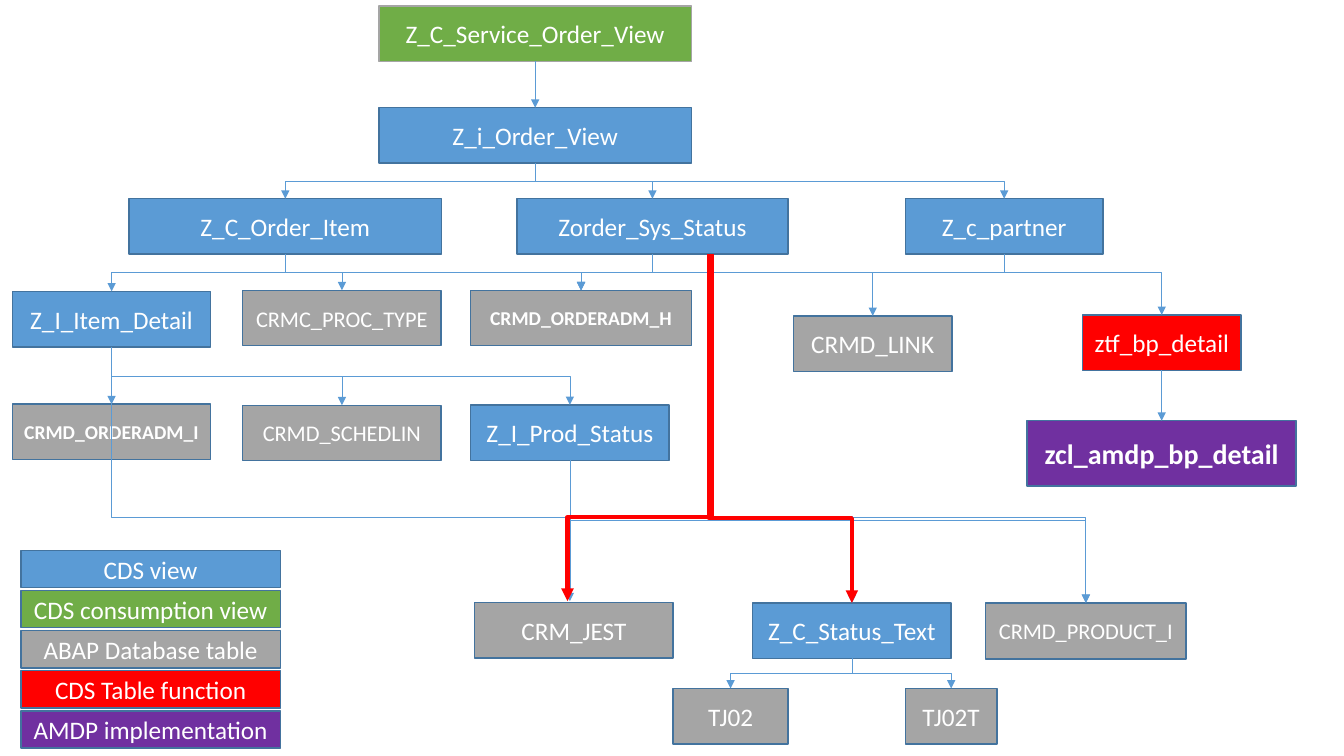
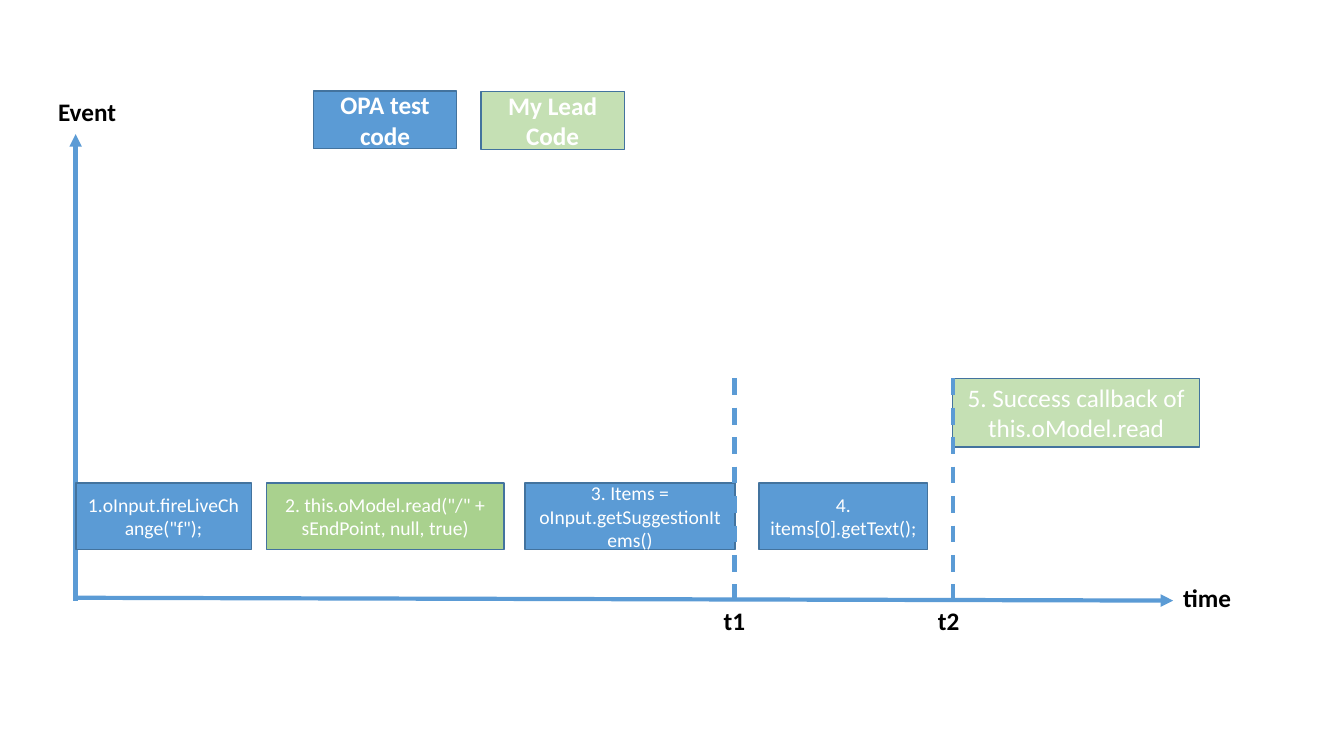
import pptx
import pptx.util
import pptx.dml.color
import pptx.enum.dml
import pptx.enum.shapes
import pptx.enum.text
import pptx.oxml.ns
import lxml.etree

Pt = pptx.util.Pt
RGB = pptx.dml.color.RGBColor
qn = pptx.oxml.ns.qn
KIND = pptx.enum.shapes.MSO_CONNECTOR
DASH = pptx.enum.dml.MSO_LINE.DASH
ALIGN = pptx.enum.text.PP_ALIGN
MIDDLE = pptx.enum.text.MSO_ANCHOR.MIDDLE
GROW = pptx.enum.text.MSO_AUTO_SIZE.SHAPE_TO_FIT_TEXT

FONT = "Calibri"
WHITE = RGB(0xFF, 0xFF, 0xFF)
BLACK = RGB(0x00, 0x00, 0x00)
BLUE = RGB(0x5B, 0x9B, 0xD5)
EDGE = RGB(0x43, 0x73, 0x9E)
GREEN = RGB(0x70, 0xAD, 0x47)
LEAF = RGB(0xA9, 0xD1, 0x8E)
PALE = RGB(0xC5, 0xE0, 0xB4)
GREY = RGB(0xA5, 0xA5, 0xA5)
RED = RGB(0xFF, 0x00, 0x00)
PURPLE = RGB(0x70, 0x30, 0xA0)


def add_box(slide, text, x, y, w, h, fill=None, size=18, bold=False, edge=EDGE):
    place = Pt(x), Pt(y), Pt(w), Pt(h)
    if fill is None:
        box = slide.shapes.add_textbox(*place)
        box.text_frame.auto_size = GROW
    else:
        box = slide.shapes.add_shape(pptx.enum.shapes.MSO_SHAPE.RECTANGLE, *place)
        box.shadow.inherit = False
        box.fill.solid()
        box.fill.fore_color.rgb = fill
        box.line.color.rgb = edge
        box.line.width = Pt(1)
        box.text_frame.vertical_anchor = MIDDLE
    box.text_frame.word_wrap = True
    para = box.text_frame.paragraphs[0]
    para.alignment = ALIGN.LEFT if fill is None else ALIGN.CENTER
    run = para.add_run()
    run.text = text
    run.font.name = FONT
    run.font.size = Pt(size)
    run.font.bold = bold
    run.font.color.rgb = WHITE if fill is not None else BLACK


def add_line(slide, start, end, color=BLUE, width=0.5, bend=None, dash=None):
    (x1, y1), (x2, y2) = start, end
    if bend is None:
        wire = slide.shapes.add_connector(KIND.STRAIGHT, Pt(x1), Pt(y1), Pt(x2), Pt(y2))
    else:
        midx, midy = (x1 + x2) / 2, (y1 + y2) / 2
        long, wide = (y2 - y1) / 2, abs(x2 - x1) / 2
        wire = slide.shapes.add_connector(
            KIND.ELBOW, Pt(midx - long), Pt(midy - wide), Pt(midx + long), Pt(midy + wide))
        frame = wire._element.spPr.find(qn("a:xfrm"))
        frame.set("rot", "5400000" if x2 < x1 else "16200000")
        if x2 > x1:
            frame.set("flipH", "1")
        guides = wire._element.spPr.find(qn("a:prstGeom")).find(qn("a:avLst"))
        ratio = round((bend - y1) / (y2 - y1) * 100000)
        lxml.etree.SubElement(guides, qn("a:gd"), name="adj1", fmla=f"val {ratio}")
    wire.line.color.rgb = color
    wire.line.width = Pt(width)
    props = wire._element.spPr
    if dash is None:
        lxml.etree.SubElement(props.find(qn("a:ln")), qn("a:tailEnd"), type="triangle")
    else:
        wire.line.dash_style = dash
    lxml.etree.SubElement(props, qn("a:effectLst"))


deck = pptx.Presentation()
deck.slide_width = Pt(960)
deck.slide_height = Pt(540)
blank = deck.slide_layouts[6]

views = deck.slides.add_slide(blank)
HIGH = 39.6
nodes = {
    "Z_C_Service_Order_View": (270.7, 4.3, 223.2, HIGH, GREEN, 18, False, GREY),
    "Z_i_Order_View": (270.7, 77, 223.2, HIGH, BLUE),
    "Z_C_Order_Item": (92.2, 142, 223.2, HIGH, BLUE),
    "Z_c_partner": (646.6, 142, 141.4, HIGH, BLUE),
    "Zorder_Sys_Status": (369.2, 142, 193.7, HIGH, BLUE),
    "CRMD_ORDERADM_H": (336.2, 207.4, 157.7, HIGH, GREY, 14, True),
    "CRMC_PROC_TYPE": (173.3, 207.4, 141.8, HIGH, GREY, 16),
    "Z_I_Item_Detail": (8.8, 208.2, 141.8, HIGH, BLUE),
    "CRMD_ORDERADM_I": (8.8, 288.7, 141.8, HIGH, GREY, 14, True),
    "CRMD_SCHEDLIN": (173.3, 289.5, 141.8, HIGH, GREY, 16),
    "Z_I_Prod_Status": (336.2, 289.2, 141.8, HIGH, BLUE),
    "CRMD_PRODUCT_I": (704, 430.6, 143.3, 40.2, GREY, 16),
    "CRM_JEST": (339.1, 430.4, 141.8, HIGH, GREY),
    "Z_C_Status_Text": (537.6, 430.7, 141.8, HIGH, BLUE),
    "TJ02": (480.8, 491.8, 82.1, HIGH, GREY),
    "TJ02T": (646.6, 491.8, 65.6, HIGH, GREY),
    "CRMD_LINK": (566.8, 225.7, 113.2, HIGH, GREY),
    "ztf_bp_detail": (773.2, 225, 113.2, HIGH, RED),
    "zcl_amdp_bp_detail": (733.7, 300.5, 192.2, 46.8, PURPLE, 20, True),
}
for name, spec_row in nodes.items():
    add_box(views, name, *spec_row)

legend = [("CDS view", BLUE), ("CDS consumption view", GREEN), ("ABAP Database table", GREY),
          ("CDS Table function", RED), ("AMDP implementation", PURPLE)]
for row, (text, fill) in enumerate(legend):
    add_box(views, text, 15, 393.2 + 28.65 * row, 185.2, 26.6, fill)

links = [
    ("Z_C_Service_Order_View", "Z_i_Order_View", None),
    ("Z_i_Order_View", "Z_C_Order_Item", None),
    ("Z_i_Order_View", "Zorder_Sys_Status", None),
    ("Z_i_Order_View", "Z_c_partner", None),
    ("Z_C_Order_Item", "Z_I_Item_Detail", None),
    ("Z_C_Order_Item", "CRMC_PROC_TYPE", None),
    ("Z_C_Order_Item", "CRMD_ORDERADM_H", None),
    ("Zorder_Sys_Status", "CRMD_ORDERADM_H", None),
    ("Z_c_partner", "CRMD_ORDERADM_H", None),
    ("Z_c_partner", "CRMD_LINK", 194.5),
    ("Z_c_partner", "ztf_bp_detail", 194.5),
    ("ztf_bp_detail", "zcl_amdp_bp_detail", None),
    ("Z_I_Item_Detail", "CRMD_ORDERADM_I", None),
    ("Z_I_Item_Detail", "CRMD_SCHEDLIN", None),
    ("Z_I_Item_Detail", "Z_I_Prod_Status", None),
    ("Z_I_Item_Detail", "CRMD_PRODUCT_I", 369.5),
    ("Z_I_Prod_Status", "CRMD_PRODUCT_I", 371.8),
    ("Z_I_Prod_Status", "Z_C_Status_Text", 369),
    ("Z_C_Status_Text", "TJ02", None),
    ("Z_C_Status_Text", "TJ02T", None),
]
for above, below, bend in links:
    x, y, w, h = nodes[above][:4]
    start = x + w / 2, y + h
    x, y, w, h = nodes[below][:4]
    end = x + w / 2, y
    if abs(start[0] - end[0]) > 1:
        bend = bend or (start[1] + end[1]) / 2
    add_line(views, start, end, bend=bend)
add_line(views, (407.1, 328.8), (407.1, 429.4))
add_line(views, (506.4, 181.6), (608.5, 430.7), RED, 3, 370.1)
add_line(views, (508.2, 181.6), (405.4, 429.4), RED, 3, 369.4)

chart = deck.slides.add_slide(blank)
add_line(chart, (54, 427), (838, 429), width=3)
add_line(chart, (54, 429), (54, 95.8), width=3)

steps = [
    ('1.oInput.fireLiveChange("f");', 54.2, 125.3, BLUE),
    ('2. this.oModel.read("/" + sEndPoint, null, true)', 190.2, 169.9, LEAF),
    ("3. Items = oInput.getSuggestionItems()", 375.1, 149.8, BLUE),
    ("4. items[0].getText();", 542.3, 120.3, BLUE),
]
for text, x, w, fill in steps:
    add_box(chart, text, x, 345.1, w, 47.3, fill, 14)
add_box(chart, "5. Success callback of this.oModel.read", 680.4, 270.2, 176.6, 49, PALE)

labels = [("time", 838, 412.6, 85), ("Event", 34.4, 65, 95.8),
          ("t1", 509.8, 429, 32.4), ("t2", 662.8, 429, 48.2)]
for text, x, y, w in labels:
    add_box(chart, text, x, y, w, 29, bold=True)
for x in (524.7, 680.6):
    add_line(chart, (x, 270.2), (x, 429), width=3, dash=DASH)

add_box(chart, "OPA test code", 223.9, 65, 102.4, 41.3, BLUE, bold=True)
add_box(chart, "My Lead Code", 343.6, 65.4, 102.4, 41.3, PALE, bold=True)

deck.save("out.pptx")
